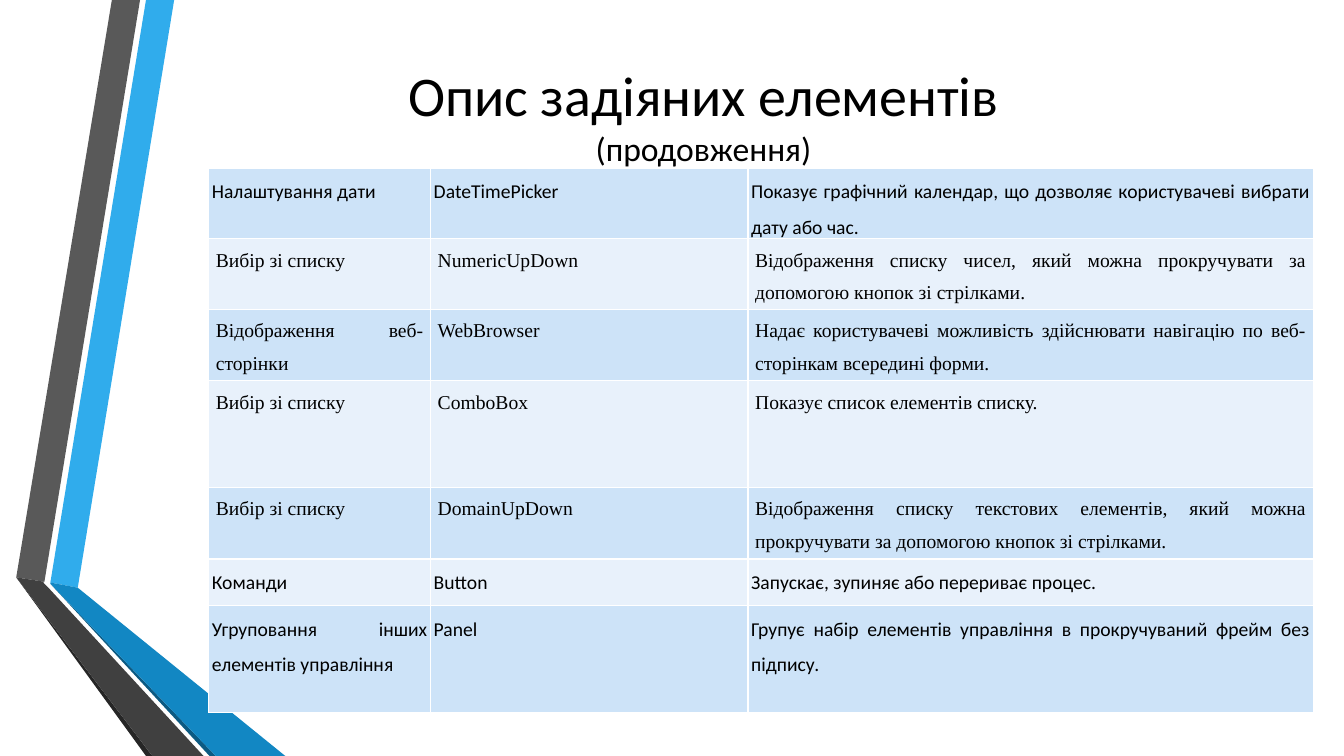
import pptx
import pptx.dml.color
import pptx.enum.text
import pptx.oxml
import pptx.oxml.ns
import pptx.util
from pptx.util import Cm

SANS = "Calibri"
SERIF = "Times New Roman"
BLACK = "000000"
WHITE = "FFFFFF"
ROW_FILLS = ("CDE3F8", "E8F1FB")

RIBBONS = [
    ("30ACEC", [(1.27, 14.68), (1.96, 14.81), (4.39, 0), (3.68, 0)]),
    ("595959", [(3.53, 0), (2.82, 0), (0.41, 14.55), (1.12, 14.66)]),
    ("262626", [(0.41, 14.55), (3.68, 19.05), (3.84, 19.05)]),
    ("0C5A82", [(1.27, 14.71), (5.28, 19.05), (5.44, 19.05)]),
    ("1287C3", [(1.27, 14.68), (1.27, 14.71), (5.44, 19.05), (7.19, 19.05),
                (1.96, 14.81)]),
    ("404040", [(5.13, 19.05), (1.22, 14.81), (1.09, 14.68), (1.12, 14.66),
                (0.41, 14.55), (3.84, 19.05)]),
]

COLUMN_WIDTHS = (5.59, 8, 14.25)
ROWS = [
    (1.6, SANS, ("Налаштування дати", "DateTimePicker",
     "Показує графічний календар, що дозволяє користувачеві вибрати дату або час.")),
    (1.6, SERIF, ("Вибір зі списку", "NumericUpDown",
     "Відображення списку чисел, який можна прокручувати за допомогою кнопок зі стрілками.")),
    (1.8, SERIF, ("Відображення веб-сторінки", "WebBrowser",
     "Надає користувачеві можливість здійснювати навігацію по веб-сторінкам всередині форми.")),
    (2.69, SERIF, ("Вибір зі списку", "ComboBox", "Показує список елементів списку.")),
    (1.8, SERIF, ("Вибір зі списку", "DomainUpDown",
     "Відображення списку текстових елементів, який можна прокручувати за допомогою кнопок зі стрілками.")),
    (1.17, SANS, ("Команди", "Button", "Запускає, зупиняє або перериває процес.")),
    (2.69, SANS, ("Угруповання інших елементів управління", "Panel",
     "Групує набір елементів управління в прокручуваний фрейм без підпису.")),
]


def rgb(color):
    return pptx.dml.color.RGBColor.from_string(color)


def set_fill(obj, color):
    obj.fill.solid()
    obj.fill.fore_color.rgb = rgb(color)


def format_runs(p, font, size):
    for r in p.runs:
        r.font.name = font
        r.font.size = pptx.util.Pt(size)
        r.font.color.rgb = rgb(BLACK)


def add_ribbon(s, color, points):
    corners = [(Cm(x), Cm(y)) for x, y in points]
    builder = s.shapes.build_freeform(*corners[0])
    builder.add_line_segments(corners[1:], close=True)
    sp = builder.convert_to_shape()
    sp.shadow.inherit = False
    set_fill(sp, color)
    sp.line.fill.background()


def add_title(s, lines):
    sp = s.shapes.add_textbox(Cm(3.81), Cm(0.79), Cm(27.84), Cm(4.17))
    tf = sp.text_frame
    tf.word_wrap = True
    tf.vertical_anchor = pptx.enum.text.MSO_ANCHOR.MIDDLE
    tf.text = "\n".join(text for text, size in lines)
    for p, (text, size) in zip(tf.paragraphs, lines):
        p.alignment = pptx.enum.text.PP_ALIGN.CENTER
        format_runs(p, SANS, size)


def set_borders(cell, color):
    tc_pr = cell._tc.get_or_add_tcPr()
    for i, side in enumerate(("lnL", "lnR", "lnT", "lnB")):
        line = pptx.oxml.parse_xml(
            f'<a:{side} {pptx.oxml.ns.nsdecls("a")} w="12700"><a:solidFill>'
            f'<a:srgbClr val="{color}"/></a:solidFill></a:{side}>')
        tc_pr.insert(i, line)


def fill_cell(cell, text, font, color):
    cell.margin_left = cell.margin_right = Cm(0.08 if font == SANS else 0.18)
    cell.margin_top = cell.margin_bottom = 0
    set_fill(cell, color)
    set_borders(cell, WHITE)
    cell.text_frame.text = text
    p = cell.text_frame.paragraphs[0]
    p.alignment = pptx.enum.text.PP_ALIGN.JUSTIFY
    p.line_spacing = 1.5
    format_runs(p, font, 14)


def add_elements_table(s):
    heights = [height for height, font, texts in ROWS]
    table = s.shapes.add_table(
        len(ROWS), len(COLUMN_WIDTHS), Cm(5.26), Cm(4.24),
        Cm(sum(COLUMN_WIDTHS)), Cm(sum(heights))).table
    for column, width in zip(table.columns, COLUMN_WIDTHS):
        column.width = Cm(width)
    for i, (height, font, texts) in enumerate(ROWS):
        table.rows[i].height = Cm(height)
        for cell, text in zip(table.rows[i].cells, texts):
            fill_cell(cell, text, font, ROW_FILLS[i % 2])


def main():
    prs = pptx.Presentation()
    prs.slide_width = Cm(33.87)
    prs.slide_height = Cm(19.05)
    s = prs.slides.add_slide(prs.slide_layouts[6])
    for color, points in RIBBONS:
        add_ribbon(s, color, points)
    add_title(s, [("Опис задіяних елементів", 40), ("(продовження)", 24)])
    add_elements_table(s)
    prs.save("out.pptx")


if __name__ == "__main__":
    main()
